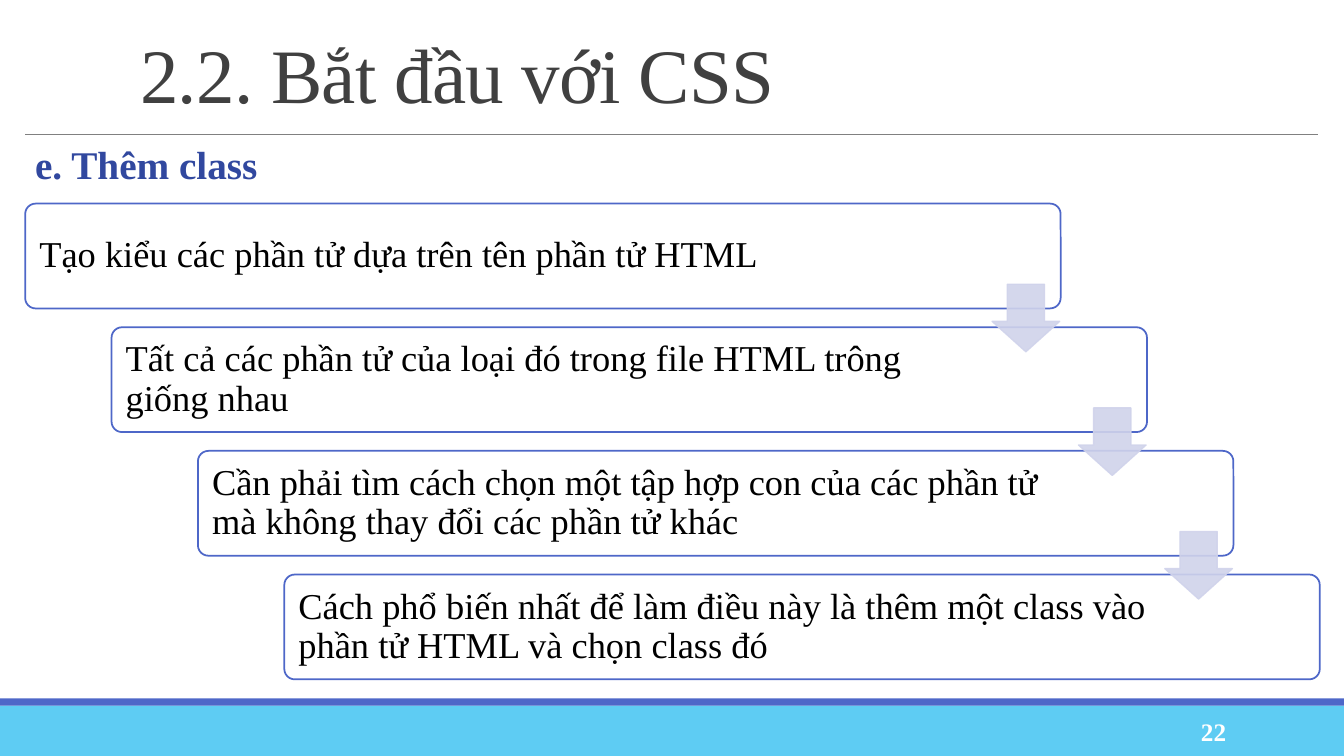
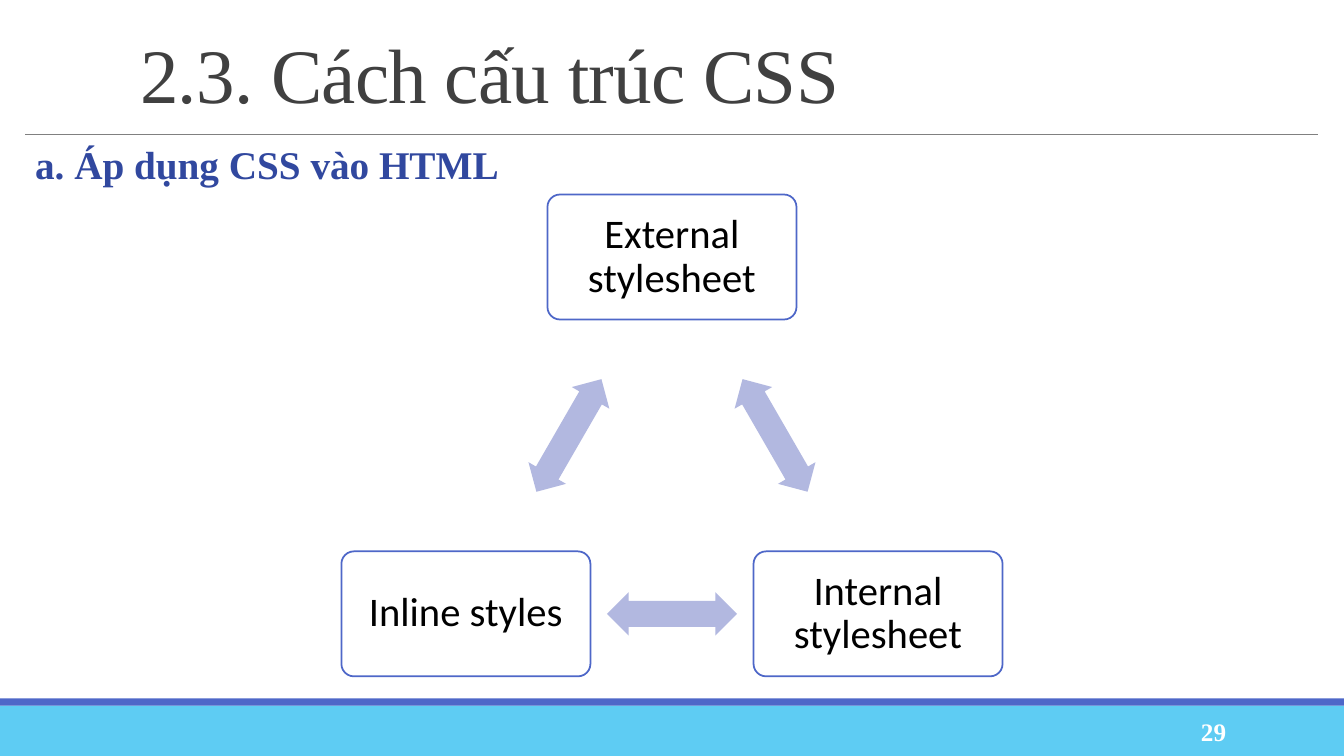
"""Build two CSS lecture slides: a descending step list and a three-node cycle."""
from math import cos, radians, sin

from lxml.etree import SubElement
from pptx import Presentation
from pptx.dml.color import RGBColor
from pptx.enum.shapes import MSO_CONNECTOR as Connector, MSO_SHAPE as Shape
from pptx.enum.text import MSO_ANCHOR as Anchor, PP_ALIGN as Align
from pptx.oxml.ns import qn
from pptx.util import Inches, Pt

WHITE = RGBColor(0xFF, 0xFF, 0xFF)
BLACK = RGBColor(0x00, 0x00, 0x00)
TITLE_GRAY = RGBColor(0x40, 0x40, 0x40)
RULE_GRAY = RGBColor(0x80, 0x80, 0x80)
SKY = RGBColor(0x5E, 0xCC, 0xF3)
INDIGO = RGBColor(0x4E, 0x67, 0xC8)
HEADING_BLUE = RGBColor(0x31, 0x48, 0x9F)
PALE_LILAC = RGBColor(0xD0, 0xD3, 0xEB)
LILAC = RGBColor(0xB2, 0xB8, 0xE0)

SERIF = "Times New Roman"
SANS = "Calibri"
SLIDE_WIDTH, SLIDE_HEIGHT = 13.33, 7.5

TITLE_FONT = {"name": SERIF, "size": Pt(55)}
HEADING_FONT = {"name": SERIF, "size": Pt(28), "bold": True}
NUMBER_FONT = {"name": SERIF, "size": Pt(18), "bold": True}
STEP_FONT = {"name": SERIF, "size": Pt(26)}
NODE_FONT = {"name": SANS, "size": Pt(29)}

STEPS = [
    "Tạo kiểu các phần tử dựa trên tên phần tử HTML",
    "Tất cả các phần tử của loại đó trong file HTML trông giống nhau",
    "Cần phải tìm cách chọn một tập hợp con của các phần tử mà không thay đổi các phần tử khác",
    "Cách phổ biến nhất để làm điều này là thêm một class vào phần tử HTML và chọn class đó",
]
NODES = ["External stylesheet", "Internal stylesheet", "Inline styles"]


def set_attributes(target, values):
    """Set each named value on the target object."""
    for name, value in values.items():
        setattr(target, name, value)


def write_text(shape, text, font, color, align=Align.LEFT, anchor=Anchor.MIDDLE,
               insets=(0.1, 0.05, 0.1, 0.05), line_spacing=0.9):
    """Write one formatted paragraph into a shape and return its run."""
    frame = shape.text_frame
    sides = ("margin_left", "margin_top", "margin_right", "margin_bottom")
    set_attributes(frame, {"word_wrap": True, "vertical_anchor": anchor})
    set_attributes(frame, {side: Inches(inset) for side, inset in zip(sides, insets)})
    paragraph = frame.paragraphs[0]
    set_attributes(paragraph, {"alignment": align, "line_spacing": line_spacing})
    run = paragraph.add_run()
    run.text = text
    set_attributes(run.font, font)
    run.font.color.rgb = color
    return run


def add_text(slide, box, text, font, color, **layout):
    """Add a text box and return its run."""
    shape = slide.shapes.add_textbox(*map(Inches, box))
    return write_text(shape, text, font, color, **layout)


def add_block(slide, kind, box, fill, line=None, line_width=1, adjustments=()):
    """Add a flat preset shape with an optional outline."""
    shape = slide.shapes.add_shape(kind, *map(Inches, box))
    shape.shadow.inherit = False
    shape.fill.solid()
    shape.fill.fore_color.rgb = fill
    if line is None:
        shape.line.fill.background()
    else:
        shape.line.color.rgb = line
        shape.line.width = Pt(line_width)
    for index, value in enumerate(adjustments):
        shape.adjustments[index] = value
    return shape


def add_card(slide, box, text, font, **layout):
    """Add a white rounded card with text."""
    card = add_block(slide, Shape.ROUNDED_RECTANGLE, box, WHITE, INDIGO, 1.25, [0.1])
    write_text(card, text, font, BLACK, **layout)


def set_opacity(shape, percent):
    """Make the fill and outline of a shape partly transparent."""
    for color in shape._element.spPr.iter(qn("a:srgbClr")):
        SubElement(color, qn("a:alpha")).set("val", str(percent * 1000))


def add_rule(slide, left, right, top):
    """Add the thin line below the title."""
    rule = slide.shapes.add_connector(
        Connector.STRAIGHT, Inches(left), Inches(top), Inches(right), Inches(top))
    rule.line.color.rgb = RULE_GRAY
    rule.line.width = Pt(0.5)
    SubElement(rule._element.spPr, qn("a:effectLst"))


def add_base_slide(presentation, title, heading, number):
    """Add a slide with the shared bands, rule, title, heading and number."""
    slide = presentation.slides.add_slide(presentation.slide_layouts[6])
    add_block(slide, Shape.RECTANGLE, (0, 7, SLIDE_WIDTH, 0.5), SKY)
    add_block(slide, Shape.RECTANGLE, (0, 6.93, SLIDE_WIDTH, 0.07), INDIGO)
    add_rule(slide, 0.25, 13.07, 1.33)
    title_run = add_text(slide, (1.29, 0.31, 11.78, 0.96), title, TITLE_FONT, TITLE_GRAY,
                         line_spacing=0.85)
    title_run._r.get_or_add_rPr().set("spc", "-50")
    add_text(slide, (0.25, 1.4, 12.82, 0.5), heading, HEADING_FONT, HEADING_BLUE,
             align=Align.JUSTIFY, anchor=Anchor.TOP)
    add_text(slide, (10.83, 7.06, 1.43, 0.4), str(number), NUMBER_FONT, WHITE,
             align=Align.RIGHT, line_spacing=1.0)
    return slide


def add_staircase(slide, steps):
    """Add step cards going down to the right, linked by arrows."""
    first_left, first_top, last_left, last_top = 0.25, 2.02, 2.82, 5.7
    gaps = len(steps) - 1
    corners = [(first_left + (last_left - first_left) * index / gaps,
                first_top + (last_top - first_top) * index / gaps)
               for index in range(len(steps))]
    for (left, top), text in zip(corners, steps):
        add_card(slide, (left, top, 10.27, 1.04), text, STEP_FONT,
                 insets=(0.11, 0.11, 1.65, 0.11))
    for left, top in corners[:-1]:
        arrow = add_block(slide, Shape.DOWN_ARROW, (left + 9.59, top + 0.8, 0.67, 0.67),
                          PALE_LILAC, PALE_LILAC, 1, [0.55, 0.45])
        set_opacity(arrow, 90)


def add_cycle(slide, nodes):
    """Add cards around a circle with a double arrow between neighbours."""
    center_x, center_y, radius = SLIDE_WIDTH / 2, 4.91, 2.36
    card_width, card_height = 2.47, 1.24
    arrow_width, arrow_height = 1.29, 0.43
    turn = 360 / len(nodes)
    angles = [radians(turn * index - 90) for index in range(len(nodes))]
    points = [(center_x + radius * cos(angle), center_y + radius * sin(angle))
              for angle in angles]
    for index, (x, y) in enumerate(points):
        add_card(slide, (x - card_width / 2, y - card_height / 2, card_width, card_height),
                 nodes[index], NODE_FONT, align=Align.CENTER, insets=(0.12,) * 4)
        next_x, next_y = points[(index + 1) % len(points)]
        arrow_box = ((x + next_x - arrow_width) / 2, (y + next_y - arrow_height) / 2,
                     arrow_width, arrow_height)
        arrow = add_block(slide, Shape.LEFT_RIGHT_ARROW, arrow_box, LILAC,
                          adjustments=[0.6, 0.5])
        arrow.rotation = turn * (index + 0.5)


def main():
    """Build and save the presentation."""
    presentation = Presentation()
    set_attributes(presentation, {"slide_width": Inches(SLIDE_WIDTH),
                                  "slide_height": Inches(SLIDE_HEIGHT)})
    class_slide = add_base_slide(presentation, "2.2. Bắt đầu với CSS", "e. Thêm class", 22)
    add_staircase(class_slide, STEPS)
    apply_slide = add_base_slide(presentation, "2.3. Cách cấu trúc CSS",
                                 "a. Áp dụng CSS vào HTML", 29)
    add_cycle(apply_slide, NODES)
    presentation.save("out.pptx")


if __name__ == "__main__":
    main()
